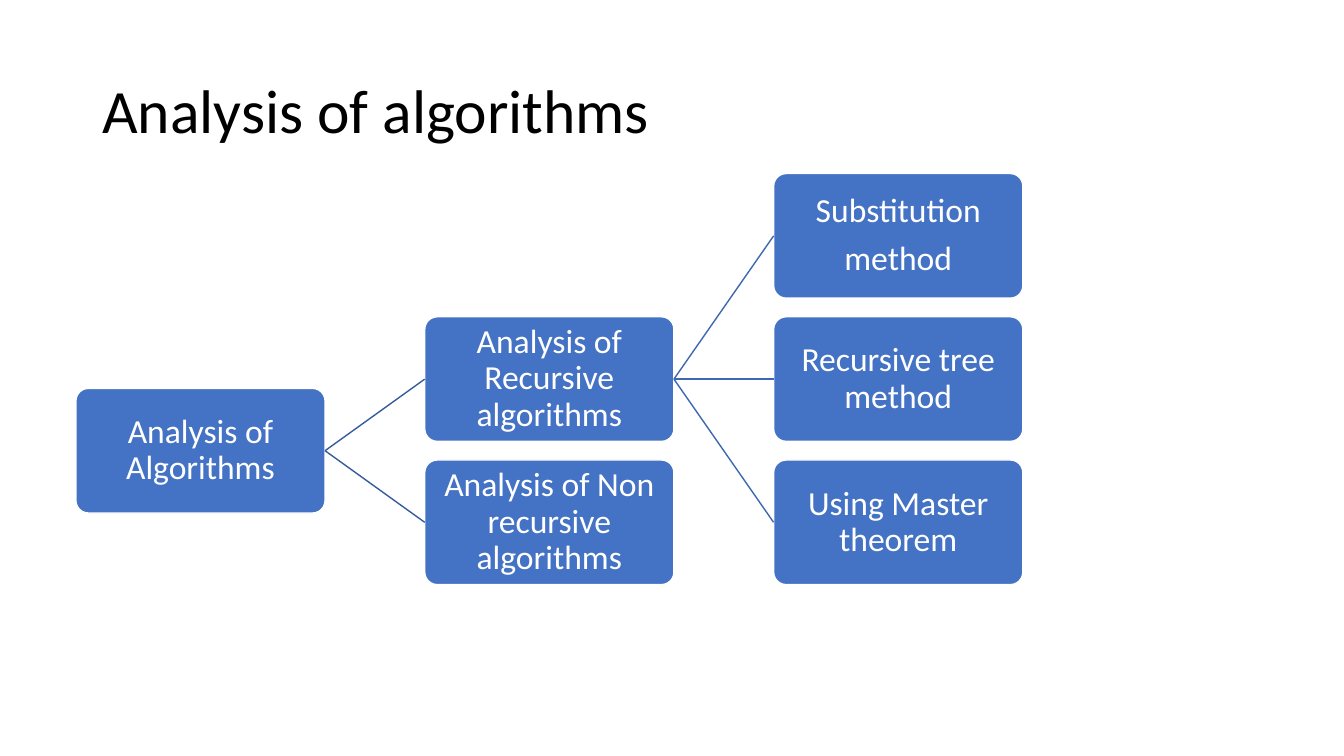
"""Build a slide with a tree of the methods for analysing algorithms."""
from lxml import etree
from pptx import Presentation
from pptx.dml.color import RGBColor
from pptx.enum.shapes import MSO_CONNECTOR, MSO_SHAPE
from pptx.enum.text import MSO_ANCHOR, PP_ALIGN
from pptx.oxml.ns import qn
from pptx.util import Pt


def color(value):
    return RGBColor.from_string(value)


def write(frame, lines, size, text_color, align, inset_x, inset_y):
    frame_format = {
        "word_wrap": True, "vertical_anchor": MSO_ANCHOR.MIDDLE,
        "margin_left": Pt(inset_x), "margin_right": Pt(inset_x),
        "margin_top": Pt(inset_y), "margin_bottom": Pt(inset_y),
    }
    for name, value in frame_format.items():
        setattr(frame, name, value)
    frame.text = "\n".join(lines)
    for paragraph in frame.paragraphs:
        paragraph.alignment = align
        paragraph.line_spacing = 0.9
        paragraph.space_after = Pt(0.35 * size)
        paragraph.font.name = "Calibri"
        paragraph.font.size = Pt(size)
        paragraph.font.color.rgb = color(text_color)


presentation = Presentation()
presentation.slide_width = Pt(960)
presentation.slide_height = Pt(540)
slide = presentation.slides.add_slide(presentation.slide_layouts[6])

title = slide.shapes.add_textbox(Pt(66), Pt(28.8), Pt(828), Pt(104.4))
write(title.text_frame, ["Analysis of algorithms"], 44, "000000", PP_ALIGN.LEFT, 7.2, 3.6)

TREE_LEFT, TREE_TOP = 54.2, 124
NODE_WIDTH, NODE_HEIGHT = 178, 89
COLUMN_STEP, ROW_STEP = 249.2, 102.3

nodes = [
    ("root", 0, 1.5, ["Analysis of Algorithms"]),
    ("recursive", 1, 1, ["Analysis of Recursive algorithms"]),
    ("substitution", 2, 0, ["Substitution", "method"]),
    ("tree", 2, 1, ["Recursive tree method"]),
    ("master", 2, 2, ["Using Master theorem"]),
    ("non_recursive", 1, 2, ["Analysis of Non recursive algorithms"]),
]
boxes = {}
for key, column, row, lines in nodes:
    box = slide.shapes.add_shape(
        MSO_SHAPE.ROUNDED_RECTANGLE,
        Pt(TREE_LEFT + column * COLUMN_STEP), Pt(TREE_TOP + row * ROW_STEP),
        Pt(NODE_WIDTH), Pt(NODE_HEIGHT))
    box.adjustments[0] = 0.1
    box.shadow.inherit = False
    box.fill.solid()
    box.fill.fore_color.rgb = color("4472C4")
    box.line.color.rgb = color("FFFFFF")
    box.line.width = Pt(1)
    write(box.text_frame, lines, 24, "FFFFFF", PP_ALIGN.CENTER, 1.2, 1.2)
    boxes[key] = box

branches = [
    ("root", "recursive", "365B9D"),
    ("root", "non_recursive", "365B9D"),
    ("recursive", "substitution", "3E67B2"),
    ("recursive", "tree", "3E67B2"),
    ("recursive", "master", "3E67B2"),
]
for parent, child, branch_color in branches:
    branch = slide.shapes.add_connector(MSO_CONNECTOR.STRAIGHT, 0, 0, 0, 0)
    branch.begin_connect(boxes[parent], 3)
    branch.end_connect(boxes[child], 1)
    branch.line.color.rgb = color(branch_color)
    branch.line.width = Pt(1)
    etree.SubElement(branch.element.spPr, qn("a:effectLst"))

presentation.save("out.pptx")
